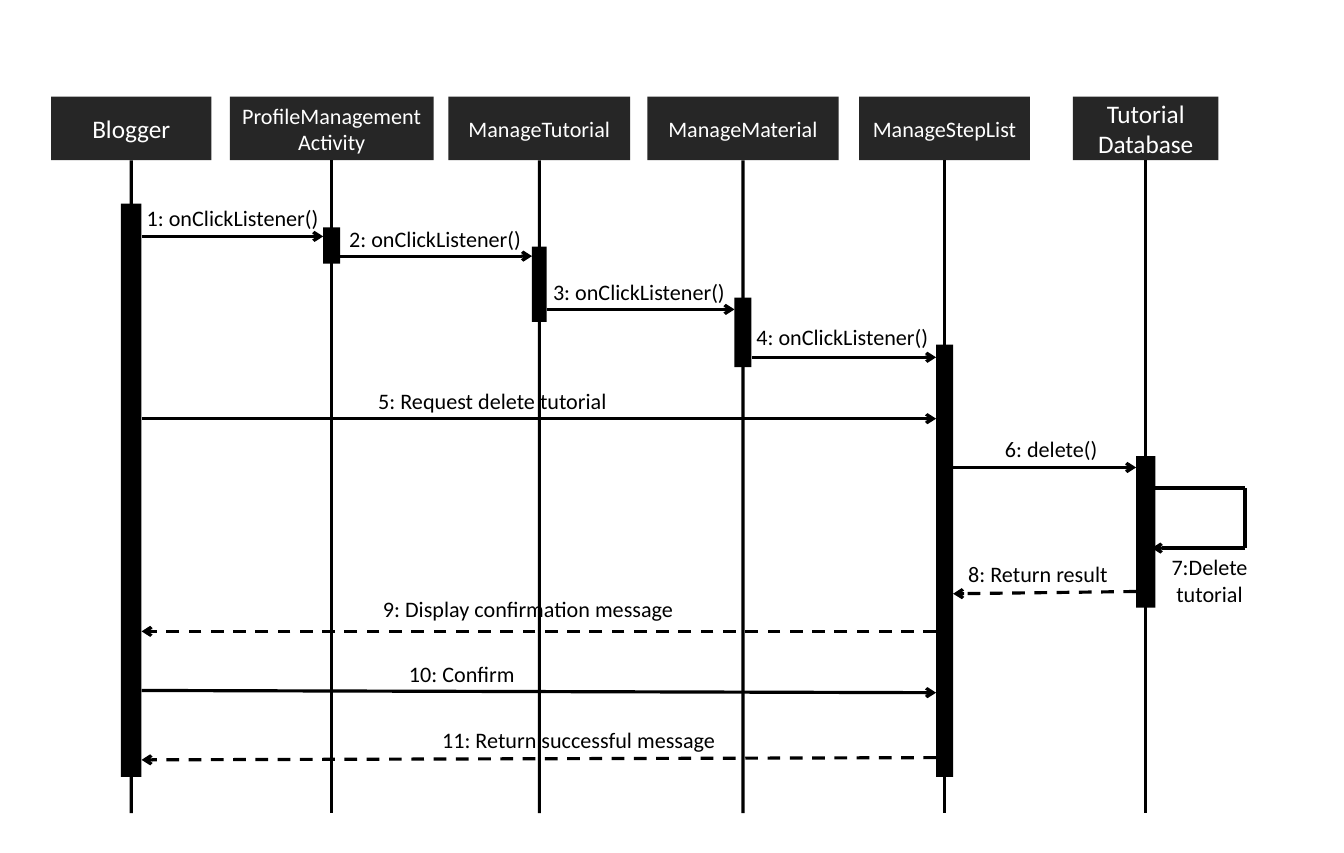
import pptx
import pptx.util
import pptx.dml.color
import pptx.enum.dml
import pptx.enum.shapes
import pptx.enum.text
import pptx.oxml.ns
import lxml.etree

Cm, Pt = pptx.util.Cm, pptx.util.Pt
RGB = pptx.dml.color.RGBColor
BLACK, WHITE, CHARCOAL = RGB(0, 0, 0), RGB(255, 255, 255), RGB(0x26, 0x26, 0x26)
FONT = "Calibri"

# Lengths are in centimetres.
HEAD_TOP, HEAD_HEIGHT, LIFELINE_END = 2.16, 1.42, 18.16
LABEL_HEIGHT = 0.86

# name, head left, head width, text size, bar width, bar top, bar height
PARTICIPANTS = [
    ("Blogger", 1.14, 3.58, 16, 0.46, 4.55, 12.8),
    ("ProfileManagementActivity", 5.13, 4.55, 14, 0.38, 5.08, 0.81),
    ("ManageTutorial", 10.01, 4.06, 14, 0.33, 5.51, 1.68),
    ("ManageMaterial", 14.45, 4.27, 14, 0.38, 6.65, 1.55),
    ("ManageStepList", 19.18, 3.81, 14, 0.38, 7.7, 9.65),
    ("Tutorial Database", 23.95, 3.25, 16, 0.43, 10.19, 3.38),
]
BLOGGER, PROFILE, TUTORIAL, MATERIAL, STEPS, DATABASE = range(6)

# text, label left, label top, label width, sender, receiver, start y, end y, dashed
MESSAGES = [
    ("1: onClickListener()", 3.0, 4.45, 4.39, BLOGGER, PROFILE, 5.28, 5.28, False),
    ("2: onClickListener()", 7.52, 4.9, 4.39, PROFILE, TUTORIAL, 5.72, 5.72, False),
    ("3: onClickListener()", 12.07, 6.1, 4.39, TUTORIAL, MATERIAL, 6.91, 6.91, False),
    ("4: onClickListener()", 16.61, 7.09, 4.39, MATERIAL, STEPS, 7.98, 7.98, False),
    ("5: Request delete tutorial", 8.15, 8.53, 5.69, BLOGGER, STEPS, 9.35, 9.35, False),
    ("6: delete()", 22.17, 9.6, 2.59, STEPS, DATABASE, 10.44, 10.44, False),
    ("8: Return result", 21.34, 12.4, 3.66, DATABASE, STEPS, 13.21, 13.26, True),
    ("9: Display confirmation message", 8.26, 13.18, 7.06, STEPS, BLOGGER, 14.1, 14.1, True),
    ("10: Confirm", 8.86, 14.63, 2.9, BLOGGER, STEPS, 15.42, 15.47, False),
    ("11: Return successful message", 9.58, 16.1, 6.68, STEPS, BLOGGER, 16.92, 16.97, True),
]
SELF_CALL = ("7:Delete\ntutorial", 25.88, 12.24, 2.24, 1.45)
LOOP_LEFT, LOOP_RIGHT, LOOP_TOP, LOOP_BOTTOM = 25.71, 27.79, 10.9, 12.24

prs = pptx.Presentation()
prs.slide_width, prs.slide_height = Cm(30), Cm(19.05)
s = prs.slides.add_slide(prs.slide_layouts[6])


def write(tf, text, size=14, color=BLACK):
    tf.text = text
    for p in tf.paragraphs:
        p.alignment = pptx.enum.text.PP_ALIGN.CENTER
        p.font.name, p.font.size = FONT, Pt(size)
        p.font.color.rgb = color


def add_box(left, top, width, height, color):
    sp = s.shapes.add_shape(pptx.enum.shapes.MSO_SHAPE.RECTANGLE,
                            Cm(left), Cm(top), Cm(width), Cm(height))
    sp.shadow.inherit = False
    sp.fill.solid()
    sp.fill.fore_color.rgb = color
    sp.line.fill.background()
    return sp


def add_line(x1, y1, x2, y2, arrow=False, dashed=False):
    line = s.shapes.add_connector(pptx.enum.shapes.MSO_CONNECTOR.STRAIGHT,
                                  Cm(x1), Cm(y1), Cm(x2), Cm(y2))
    line.line.color.rgb = BLACK
    line.line.width = Pt(2)
    if dashed:
        line.line.dash_style = pptx.enum.dml.MSO_LINE.DASH
    qn = pptx.oxml.ns.qn
    if arrow:
        ln = line.line._get_or_add_ln()
        lxml.etree.SubElement(ln, qn("a:tailEnd"), type="arrow")
    lxml.etree.SubElement(line._element.spPr, qn("a:effectLst"))
    return line


def add_label(text, left, top, width, height=LABEL_HEIGHT):
    tf = s.shapes.add_textbox(Cm(left), Cm(top), Cm(width), Cm(height)).text_frame
    tf.word_wrap = False
    tf.auto_size = pptx.enum.text.MSO_AUTO_SIZE.SHAPE_TO_FIT_TEXT
    write(tf, text)


centers, half_bars = [], []
for name, left, width, size, bar_width, bar_top, bar_height in PARTICIPANTS:
    center = left + width / 2
    head = add_box(left, HEAD_TOP, width, HEAD_HEIGHT, CHARCOAL)
    head.text_frame.word_wrap = True
    head.text_frame.vertical_anchor = pptx.enum.text.MSO_ANCHOR.MIDDLE
    write(head.text_frame, name, size=size, color=WHITE)
    lifeline = add_line(center, HEAD_TOP + HEAD_HEIGHT, center, LIFELINE_END)
    lifeline.begin_connect(head, 2)
    add_box(center - bar_width / 2, bar_top, bar_width, bar_height, BLACK)
    centers.append(center)
    half_bars.append(bar_width / 2)

for text, left, top, width, sender, receiver, y1, y2, dashed in MESSAGES:
    side = 1 if receiver > sender else -1
    add_line(centers[sender] + side * half_bars[sender], y1,
             centers[receiver] - side * half_bars[receiver], y2,
             arrow=True, dashed=dashed)
    add_label(text, left, top, width)

add_line(LOOP_LEFT, LOOP_TOP, LOOP_RIGHT, LOOP_TOP)
add_line(LOOP_RIGHT, LOOP_TOP, LOOP_RIGHT, LOOP_BOTTOM)
add_line(LOOP_RIGHT, LOOP_BOTTOM, LOOP_LEFT, LOOP_BOTTOM, arrow=True)
add_label(*SELF_CALL)

prs.save("out.pptx")
